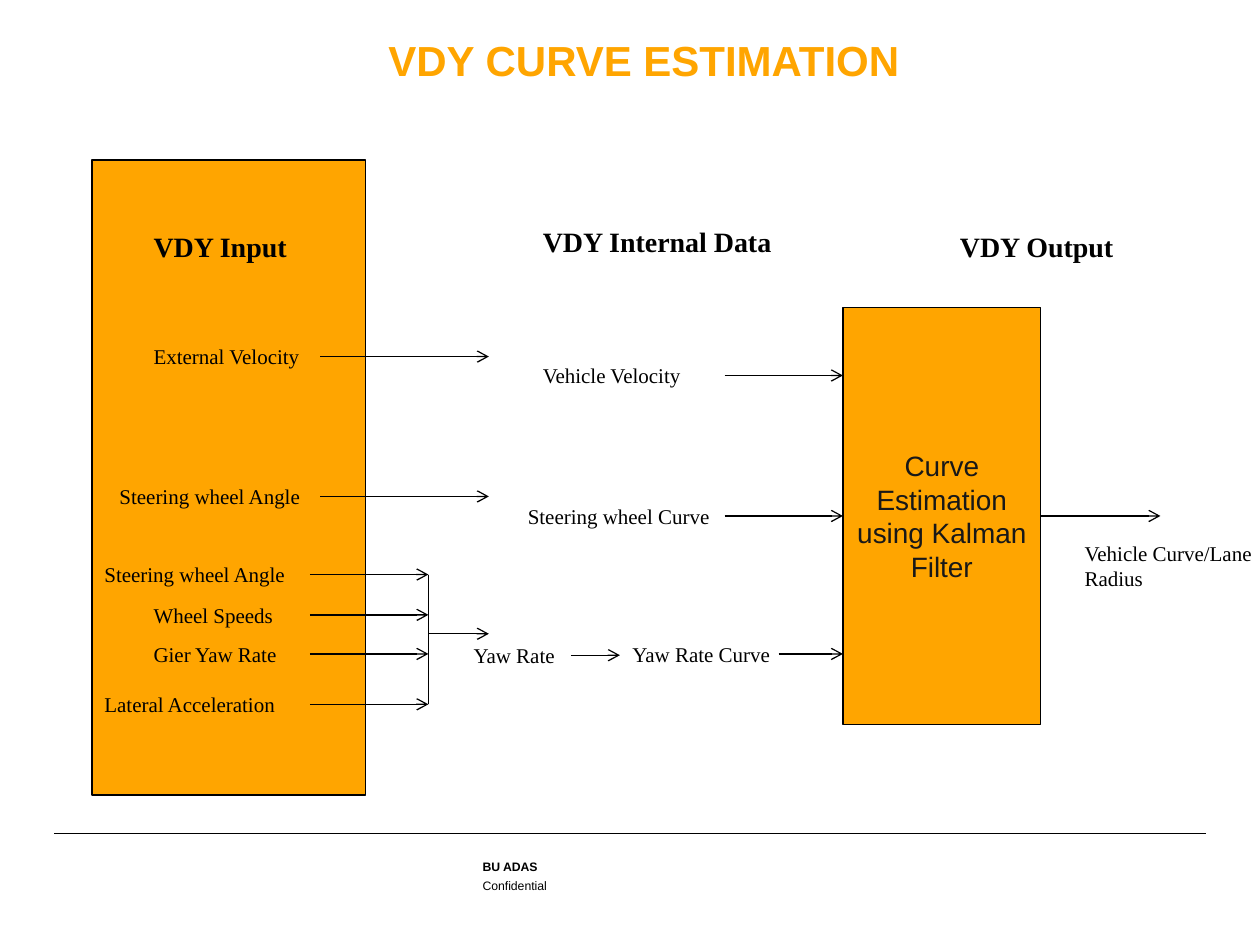
from pptx import Presentation
from pptx.dml.color import RGBColor
from pptx.enum.shapes import MSO_CONNECTOR, MSO_SHAPE
from pptx.enum.text import MSO_ANCHOR as Anchor, PP_ALIGN as Align
from pptx.oxml.ns import qn
from pptx.util import Inches, Pt
from lxml.etree import SubElement


class Theme:
    orange = RGBColor.from_string("FFA500")
    black = RGBColor.from_string("000000")
    grey = RGBColor.from_string("181818")
    sans, serif = "Arial", "Times New Roman"
    title, heading, label, footer = 24, 16, 12, 7
    line, rule = 0.75, 0.35


# Column positions, left to right
WIDE, INDENT, INPUT_END, MERGE_START = 0.73, 1.12, 2.54, 2.46
MERGE, INTERNAL_START, INTERNAL, INTERNAL_END = 3.4, 3.88, 4.21, 5.75
FILTER, OUTPUT_END = 6.69, 9.21
ROW_H = 0.3

HEADINGS = [("VDY Input", INDENT, 1.77), ("VDY Internal Data", INTERNAL, 1.73),
            ("VDY Output", 7.52, 1.77)]

# Label, left, width, centre line of the row, arrow start, arrow end
SIGNALS = [
    ("External Velocity", INDENT, 1.42, 2.83, INPUT_END, INTERNAL_START),
    ("Steering wheel Angle", 0.85, 1.93, 3.94, INPUT_END, INTERNAL_START),
    ("Steering wheel Angle", WIDE, 1.81, 4.56, MERGE_START, MERGE),
    ("Wheel Speeds", INDENT, 1.81, 4.88, MERGE_START, MERGE),
    ("Gier Yaw Rate", INDENT, 1.81, 5.19, MERGE_START, MERGE),
    ("Lateral Acceleration", WIDE, 1.81, 5.59, MERGE_START, MERGE),
    ("Vehicle Velocity", INTERNAL, 1.69, 2.98, INTERNAL_END, FILTER),
    ("Yaw Rate", 3.66, 1.42, 5.2, 4.53, 4.92),
    ("Yaw Rate Curve", 4.92, 1.42, 5.19, 6.18, FILTER),
]
CURVE_LABEL = ("Steering wheel Curve", 4.09, 1.81)
OUTPUT_LABEL = ("Vehicle Curve/Lane Radius", 8.51, 4.24, 1.81, 0.5)
FOOTER = [("BU ADAS", 6.82, True), ("Confidential", 6.97, False)]

prs = Presentation()
prs.slide_width, prs.slide_height = Inches(10), Inches(7.5)
slide = prs.slides.add_slide(prs.slide_layouts[6])
shapes = slide.shapes


def write(tf, text, size, font=Theme.serif, color=Theme.black, bold=False,
          align=Align.LEFT, anchor=Anchor.TOP):
    tf.word_wrap = True
    tf.vertical_anchor = anchor
    p = tf.paragraphs[0]
    p.alignment = align
    r = p.add_run()
    r.text = text
    r.font.name, r.font.size, r.font.bold = font, Pt(size), bold
    r.font.color.rgb = color
    return p


def add_text(text, x, y, w, h, size, insets=None, **style):
    """Insets are left, top, right and bottom; None keeps the defaults."""
    tf = shapes.add_textbox(*map(Inches, (x, y, w, h))).text_frame
    if insets:
        (tf.margin_left, tf.margin_top,
         tf.margin_right, tf.margin_bottom) = map(Inches, insets)
    return write(tf, text, size, **style)


def add_box(x, y, w, h):
    sp = shapes.add_shape(MSO_SHAPE.RECTANGLE, *map(Inches, (x, y, w, h)))
    sp.shadow.inherit = False
    sp.fill.solid()
    sp.fill.fore_color.rgb = Theme.orange
    sp.line.color.rgb = Theme.black
    sp.line.width = Pt(Theme.line)
    return sp


def add_line(x1, y1, x2, y2, width=Theme.line, arrow=False):
    cx = shapes.add_connector(MSO_CONNECTOR.STRAIGHT,
                              *map(Inches, (x1, y1, x2, y2)))
    cx.line.color.rgb = Theme.black
    cx.line.width = Pt(width)
    if arrow:
        SubElement(cx.line._get_or_add_ln(), qn("a:tailEnd"), type="arrow")
    SubElement(cx._element.spPr, qn("a:effectLst"))
    return cx


def add_arrow(x1, x2, y):
    return add_line(x1, y, x2, y, arrow=True)


def add_label(text, x, w, y):
    add_text(text, x, y - ROW_H / 2, w, ROW_H, Theme.label)


# Footer and title
add_line(0.43, 6.61, 9.57, 6.61, Theme.rule)
for text, y, bold in FOOTER:
    add_text(text, 3.83, y, 2.98, 0.15, Theme.footer, (0, 0, 0, 0),
             font=Theme.sans, bold=bold)
title = add_text("VDY CURVE ESTIMATION", 0.59, -0.11, 9.14, 0.79, Theme.title,
                 (0, 0, 0.1, 0), font=Theme.sans, color=Theme.orange,
                 bold=True, align=Align.CENTER, anchor=Anchor.BOTTOM)
title.line_spacing = 0.95

# Blocks and column headings
add_box(WIDE, 1.27, 2.17, 5.04)
kalman = add_box(FILTER, 2.44, 1.57, 3.31)
write(kalman.text_frame, "Curve Estimation using Kalman Filter", Theme.heading,
      font=Theme.sans, color=Theme.grey, align=Align.CENTER,
      anchor=Anchor.MIDDLE)
for text, x, y in HEADINGS:
    add_text(text, x, y, 2.28, 0.37, Theme.heading, bold=True)

# Signals
for text, x, w, y, start, end in SIGNALS:
    add_label(text, x, w, y)
    add_arrow(start, end, y)
add_line(MERGE, 4.56, MERGE, 5.59)
add_arrow(MERGE, INTERNAL_START, 5.03)

# Signals through the middle of the filter
middle = (kalman.top + kalman.height / 2) / Inches(1)
add_label(*CURVE_LABEL, middle)
add_arrow(INTERNAL_END, FILTER, middle).end_connect(kalman, 1)
add_arrow(FILTER + 1.57, OUTPUT_END, middle).begin_connect(kalman, 3)
add_text(*OUTPUT_LABEL, Theme.label)

prs.save("out.pptx")
